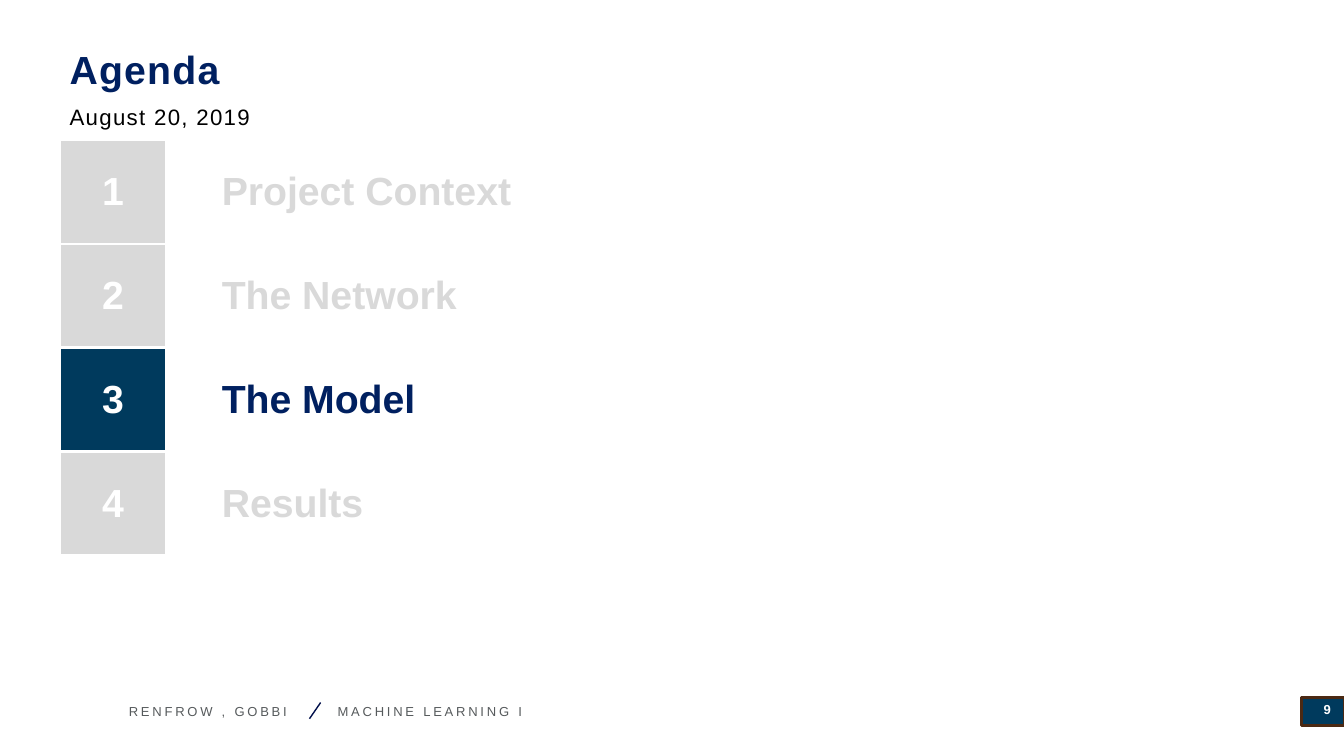
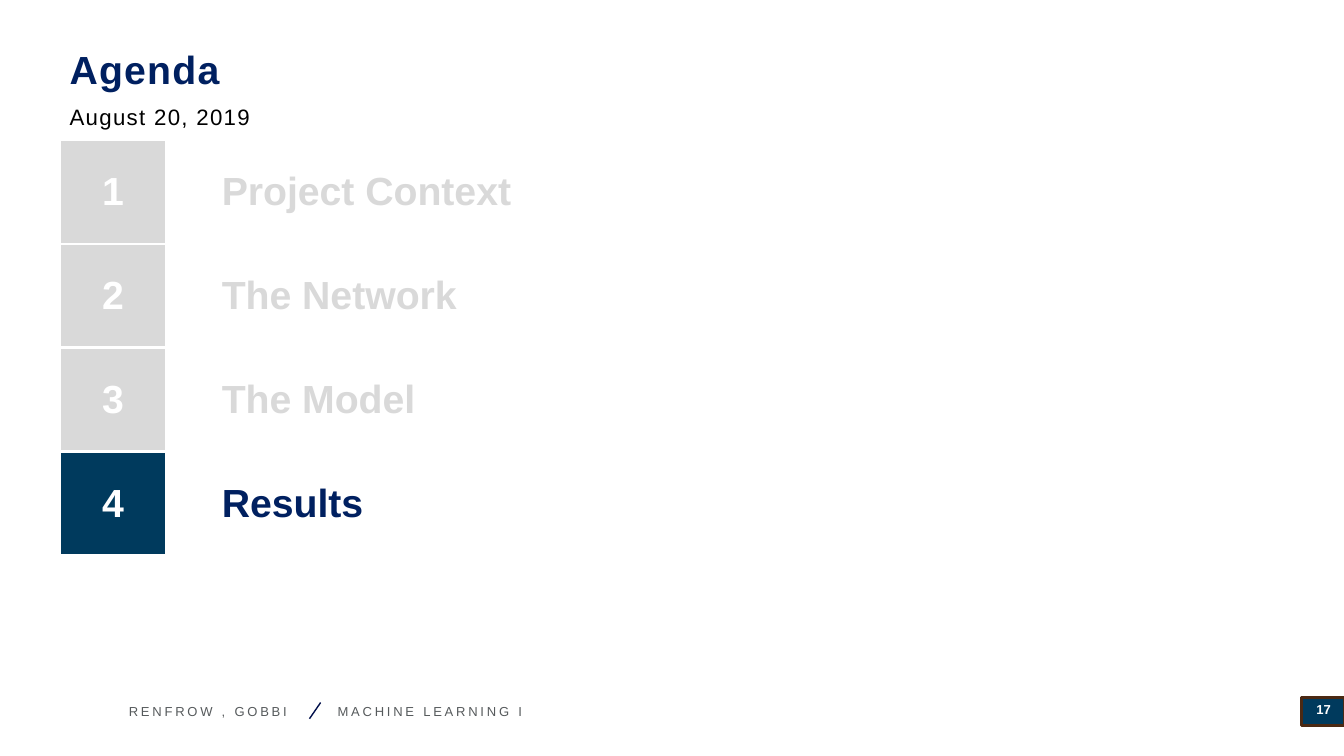
import pptx
import pptx.dml.color
import pptx.enum.shapes
import pptx.enum.text
import pptx.oxml
import pptx.oxml.ns
import pptx.util

Inches = pptx.util.Inches
Pt = pptx.util.Pt
RGBColor = pptx.dml.color.RGBColor
Align = pptx.enum.text.PP_ALIGN
Anchor = pptx.enum.text.MSO_ANCHOR

WHITE = RGBColor(0xFF, 0xFF, 0xFF)
BLACK = RGBColor(0x00, 0x00, 0x00)
NAVY = RGBColor(0x00, 0x20, 0x60)
TEAL = RGBColor(0x00, 0x3A, 0x5D)
BROWN = RGBColor(0x4B, 0x29, 0x13)
INK = RGBColor(0x00, 0x0F, 0x4B)
SLATE = RGBColor(0x56, 0x5A, 0x5C)
PALE = RGBColor(0xD9, 0xD9, 0xD9)

TOPICS = ["Project Context", "The Network", "The Model", "Results"]


class AgendaDeck:
    font = "Arial"
    left = 0.59
    heading_size = 28
    footer_size = 9.3

    def __init__(self):
        self.deck = pptx.Presentation()
        self.deck.slide_width = Inches(13.33)
        self.deck.slide_height = Inches(7.5)
        self.page = None

    def add_page(self):
        self.page = self.deck.slides.add_slide(self.deck.slide_layouts[1])

    def add_text(self, frame, text, size, color, bold=False, spacing=0, align=Align.LEFT):
        para = frame.paragraphs[0]
        para.alignment = align
        para.space_before = Pt(0)
        span = para.add_run()
        span.text = text
        span.font.name = self.font
        span.font.size = Pt(size)
        span.font.bold = bold
        span.font.color.rgb = color
        if spacing:
            span.font._element.set("spc", str(round(spacing * 100)))
        return para

    def place(self, box, left, top, width, height, anchor):
        box.left, box.top = Inches(left), Inches(top)
        box.width, box.height = Inches(width), Inches(height)
        frame = box.text_frame
        frame.word_wrap = True
        frame.auto_size = pptx.enum.text.MSO_AUTO_SIZE.NONE
        frame.vertical_anchor = anchor
        return frame

    def title(self, text):
        frame = self.place(self.page.shapes.title, self.left, 0.4, 7.05, 0.52, Anchor.BOTTOM)
        frame.margin_bottom = 0
        self.add_text(frame, text, self.heading_size, NAVY, bold=True, spacing=0.9)

    def subtitle(self, text):
        body = self.page.placeholders[1]
        frame = self.place(body, self.left, 0.94, 7.05, 0.43, Anchor.MIDDLE)
        para = self.add_text(frame, text, 15.9, BLACK, spacing=0.9)
        properties = para._p.get_or_add_pPr()
        properties.set("marL", "0")
        properties.set("indent", "0")
        properties.append(pptx.oxml.parse_xml(f"<a:buNone {pptx.oxml.ns.nsdecls('a')}/>"))

    def text_box(self, left, top, width):
        box = self.page.shapes.add_textbox(0, 0, 0, 0)
        return self.place(box, left, top, width, 0.35, Anchor.MIDDLE)

    def footer(self, authors, course):
        for text, left, width in ((course, 3.25, 7.89), (authors, 1.18, 2)):
            self.add_text(self.text_box(left, 6.88, width), text, self.footer_size, SLATE, spacing=2)
        slash = self.page.shapes.add_connector(
            pptx.enum.shapes.MSO_CONNECTOR.STRAIGHT,
            Inches(3.18), Inches(6.97), Inches(3.07), Inches(7.13))
        slash.line.color.rgb = INK
        slash.line.width = Pt(1)
        slash._element.spPr.append(
            pptx.oxml.parse_xml(f"<a:effectLst {pptx.oxml.ns.nsdecls('a')}/>"))

    def page_number(self, number):
        badge = self.page.shapes.add_shape(
            pptx.enum.shapes.MSO_SHAPE.RECTANGLE,
            Inches(12.91), Inches(6.92), Inches(0.42), Inches(0.28))
        badge.shadow.inherit = False
        badge.fill.solid()
        badge.fill.fore_color.rgb = TEAL
        badge.line.color.rgb = BROWN
        badge.line.width = Pt(2)
        frame = self.text_box(12.64, 6.86, 0.56)
        frame.margin_left = frame.margin_right = frame.margin_top = frame.margin_bottom = 0
        self.add_text(frame, str(number), self.footer_size, WHITE, bold=True, align=Align.RIGHT)

    def style_cell(self, cell, fill):
        properties = cell._tc.get_or_add_tcPr()
        for side in ("lnL", "lnR", "lnT", "lnB"):
            properties.append(pptx.oxml.parse_xml(
                f"<a:{side} {pptx.oxml.ns.nsdecls('a')} w=\"{Pt(2.25)}\">"
                f"<a:solidFill><a:srgbClr val=\"{WHITE}\"/></a:solidFill></a:{side}>"))
        cell.fill.solid()
        cell.fill.fore_color.rgb = fill
        cell.vertical_anchor = Anchor.MIDDLE
        cell.margin_left = cell.margin_right = Inches(0.06)
        cell.margin_top = cell.margin_bottom = Inches(0.03)

    def agenda(self, topics, current):
        widths = (1.06, 0.49, 10.51)
        row_height = 1.03
        table = self.page.shapes.add_table(
            len(topics), len(widths), Inches(self.left), Inches(1.39),
            Inches(sum(widths)), Inches(row_height * len(topics))).table
        table.first_row = False
        table.horz_banding = False
        for column, width in zip(table.columns, widths):
            column.width = Inches(width)
        for number, (row, topic) in enumerate(zip(table.rows, topics), 1):
            row.height = Inches(row_height)
            active = number == current
            number_cell, gap_cell, topic_cell = row.cells
            self.style_cell(number_cell, TEAL if active else PALE)
            self.style_cell(gap_cell, WHITE)
            self.style_cell(topic_cell, WHITE)
            self.add_text(number_cell.text_frame, str(number), self.heading_size, WHITE,
                          bold=True, align=Align.CENTER)
            self.add_text(topic_cell.text_frame, topic, self.heading_size,
                          NAVY if active else PALE, bold=True)


def main():
    agenda_deck = AgendaDeck()
    for current, number in ((3, 9), (4, 17)):
        agenda_deck.add_page()
        agenda_deck.title("Agenda")
        agenda_deck.subtitle("August 20, 2019")
        agenda_deck.agenda(TOPICS, current)
        agenda_deck.footer("RENFROW , GOBBI", "MACHINE LEARNING I")
        agenda_deck.page_number(number)
    agenda_deck.deck.save("out.pptx")


if __name__ == "__main__":
    main()
